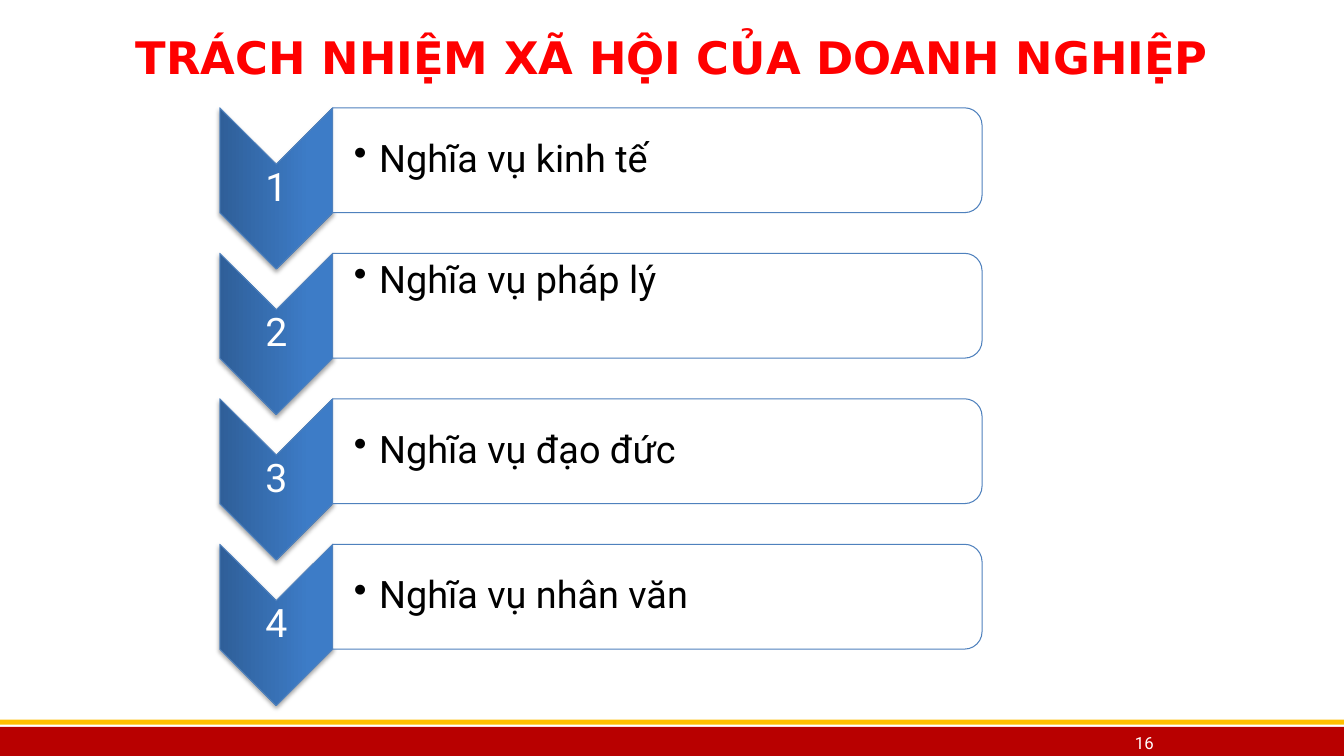
from dataclasses import dataclass

from lxml.etree import SubElement
from pptx import Presentation
from pptx.dml.color import RGBColor
from pptx.enum.shapes import MSO_SHAPE as Preset
from pptx.enum.text import MSO_ANCHOR as Anchor, PP_ALIGN as Align
from pptx.oxml.ns import qn
from pptx.util import Inches, Pt


@dataclass(frozen=True)
class Theme:
    """Colours, fonts and type sizes of the slide."""
    title: str = "FF0000"
    band: str = "B80000"
    stripe: str = "FFC000"
    dark: str = "2F5F99"
    light: str = "3D7CC7"
    outline: str = "4F81BD"
    white: str = "FFFFFF"
    black: str = "000000"
    title_font: str = "DejaVu Sans"
    body_font: str = "Roboto"
    title_size: int = 32
    number_size: int = 28
    duty_size: int = 27
    footer_size: int = 12


THEME = Theme()
DUTIES = [
    ("Nghĩa vụ kinh tế", Anchor.MIDDLE),
    ("Nghĩa vụ pháp lý", Anchor.TOP),
    ("Nghĩa vụ đạo đức", Anchor.MIDDLE),
    ("Nghĩa vụ nhân văn", Anchor.MIDDLE),
]


def rgb(colour):
    """Turn a hex string into a colour."""
    return RGBColor.from_string(colour)


def add_text(slide, box, text, size, colour, font=THEME.body_font, align=Align.CENTER,
             anchor=Anchor.MIDDLE, insets=(0.02, 0.02, 0.02, 0.02), spacing=1.0):
    """Add a one-paragraph text box and return its paragraph."""
    frame = slide.shapes.add_textbox(*map(Inches, box)).text_frame
    frame.word_wrap = True
    frame.vertical_anchor = anchor
    (frame.margin_left, frame.margin_top,
     frame.margin_right, frame.margin_bottom) = map(Inches, insets)
    frame.text = text
    paragraph = frame.paragraphs[0]
    paragraph.alignment = align
    paragraph.line_spacing = spacing
    run_font = paragraph.runs[0].font
    run_font.name, run_font.size = font, Pt(size)
    run_font.color.rgb = rgb(colour)
    return paragraph


def add_preset(slide, preset, box, fill=None, outline=None):
    """Add a flat preset shape with an optional fill and outline."""
    shape = slide.shapes.add_shape(preset, *map(Inches, box))
    shape.shadow.inherit = False
    if fill:
        shape.fill.solid()
        shape.fill.fore_color.rgb = rgb(fill)
    if outline:
        shape.line.color.rgb = rgb(outline)
        shape.line.width = Pt(0.75)
    else:
        shape.line.fill.background()
    return shape


def add_turned(slide, preset, box, **style):
    """Add a shape turned a quarter clockwise so that it covers the box."""
    left, top, width, height = box
    offset = (width - height) / 2
    shape = add_preset(slide, preset, (left + offset, top - offset, height, width), **style)
    shape.rotation = 90
    return shape


def add_shadow(shape):
    """Give the shape a soft shadow below it."""
    effects = shape._element.spPr.find(qn("a:effectLst"))
    shadow = SubElement(effects, qn("a:outerShdw"), blurRad="40000", dist="23000",
                        dir="5400000", rotWithShape="0")
    colour = SubElement(shadow, qn("a:srgbClr"), val=THEME.black)
    SubElement(colour, qn("a:alpha"), val="35000")


def add_chevron(slide, box, number):
    """Draw a numbered chevron that points down."""
    left, top, width, height = box
    chevron = add_turned(slide, Preset.CHEVRON, box, outline=THEME.outline)
    chevron.fill.gradient()
    chevron.fill.gradient_angle = 90
    stops = zip(chevron.fill.gradient_stops, ((0, THEME.dark), (0.8, THEME.light)))
    for stop, (position, colour) in stops:
        stop.position = position
        stop.color.rgb = rgb(colour)
    add_shadow(chevron)
    add_text(slide, (left, top + width / 2, width, height - width), str(number),
             THEME.number_size, THEME.white, spacing=0.9)


def add_panel(slide, box, duty, anchor):
    """Draw a panel with rounded right corners and one bulleted duty."""
    left, top, width, height = box
    panel = add_turned(slide, Preset.ROUND_2_SAME_RECTANGLE, box,
                       fill=THEME.white, outline=THEME.outline)
    colour = panel._element.spPr.find(qn("a:solidFill"))[0]
    SubElement(colour, qn("a:alpha"), val="90000")
    paragraph = add_text(slide, (left, top + 0.05, width - 0.05, height - 0.1), duty,
                         THEME.duty_size, THEME.black, align=Align.LEFT, anchor=anchor,
                         insets=(0.21, 0.02, 0.02, 0.02), spacing=0.9)
    properties = paragraph._p.get_or_add_pPr()
    properties.set("marL", str(Inches(0.25)))
    properties.set("indent", str(Inches(-0.25)))
    SubElement(properties, qn("a:buChar"), char="•")


def add_duties(slide, box):
    """Stack one chevron and panel row per duty inside the box."""
    left, top, width, height = box
    chevron_width, chevron_height, panel_height = 1.12, 1.6, 1.04
    pitch = (height - chevron_height) / (len(DUTIES) - 1)
    for index, (duty, anchor) in enumerate(DUTIES):
        row_top = top + index * pitch
        add_chevron(slide, (left, row_top, chevron_width, chevron_height), index + 1)
        add_panel(slide, (left + chevron_width, row_top, width - chevron_width, panel_height),
                  duty, anchor)


def add_title(slide, box):
    """Write the slide title."""
    paragraph = add_text(slide, box, "TRÁCH NHIỆM XÃ HỘI CỦA DOANH NGHIỆP",
                         THEME.title_size, THEME.title, font=THEME.title_font)
    paragraph.runs[0].font.bold = True


def add_footer(slide, box):
    """Draw the footer band, its stripe and the page number."""
    left, top, width, height = box
    add_preset(slide, Preset.RECTANGLE, box, fill=THEME.band)
    add_preset(slide, Preset.RECTANGLE, (left, top - 0.07, width, 0.05), fill=THEME.stripe)
    add_text(slide, (left + 10.6, top, 1.5, height), "16", THEME.footer_size, THEME.white,
             insets=(0.1, 0, 0.1, 0))


def main():
    """Build and save the slide."""
    presentation = Presentation()
    presentation.slide_width, presentation.slide_height = Inches(13.33), Inches(7.5)
    slide = presentation.slides.add_slide(presentation.slide_layouts[6])
    add_footer(slide, (0, 7.21, 13.33, 0.31))
    add_title(slide, (0.67, 0.25, 12, 0.62))
    add_duties(slide, (2.18, 1.07, 7.56, 5.93))
    presentation.save("out.pptx")


if __name__ == "__main__":
    main()
